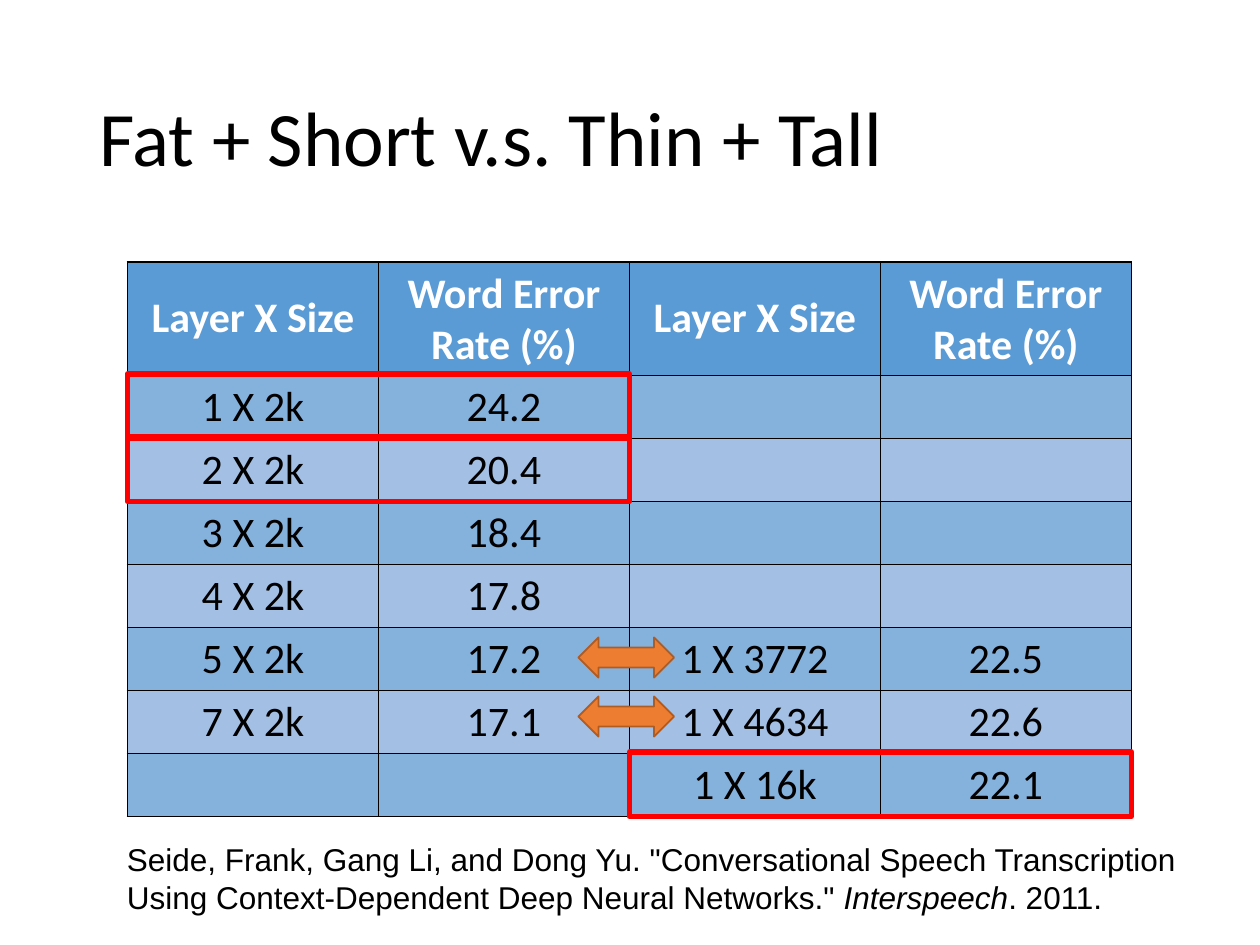
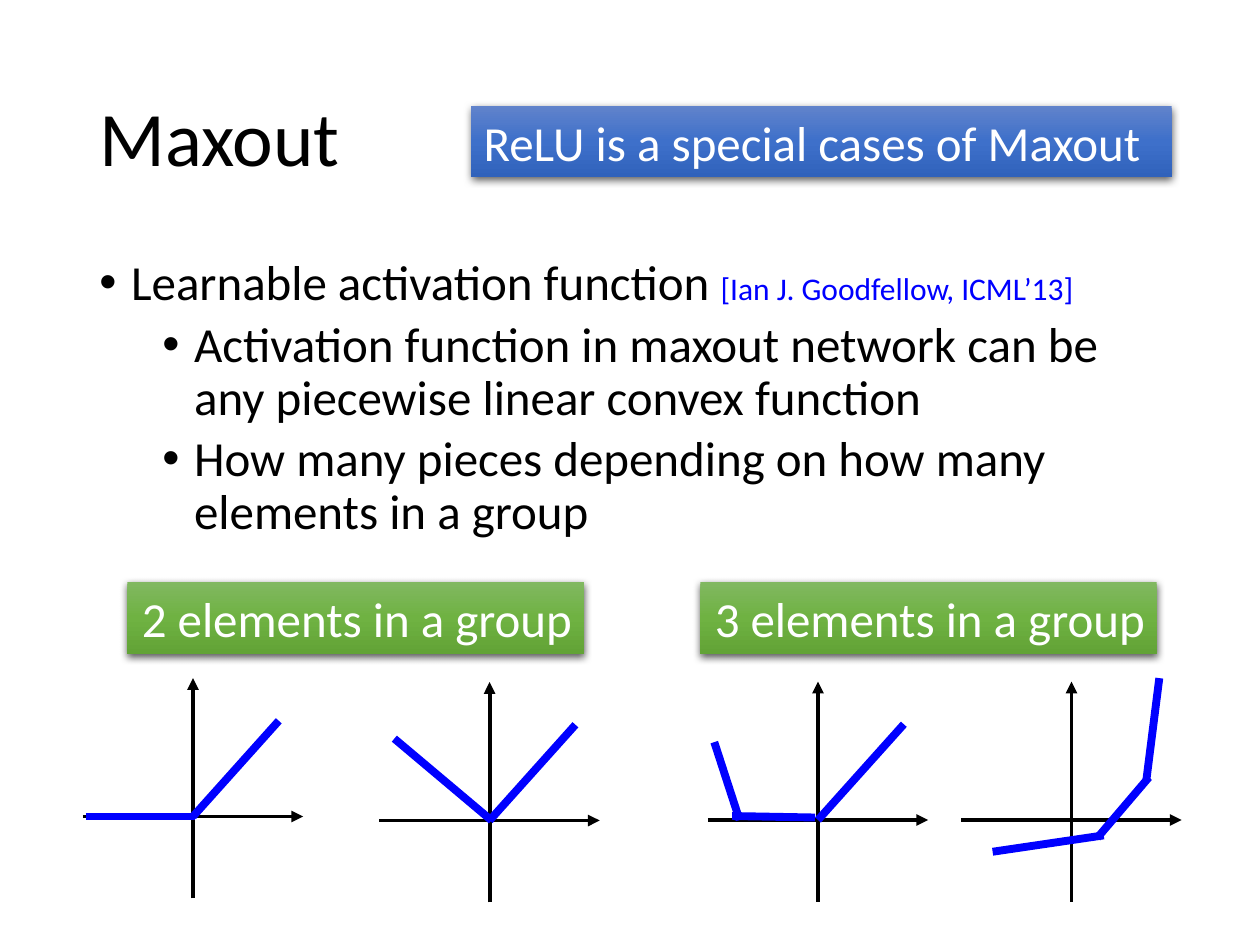
"""Build two slides on network depth and on maxout units."""
from copy import deepcopy

from lxml.etree import SubElement
from pptx import Presentation
from pptx.dml.color import RGBColor
from pptx.enum.shapes import MSO_CONNECTOR, MSO_SHAPE
from pptx.enum.text import MSO_ANCHOR, MSO_AUTO_SIZE, PP_ALIGN
from pptx.oxml.ns import qn
from pptx.util import Cm, Pt

HUES = {
    "black": "000000", "white": "FFFFFF", "blue": "0000FF", "red": "FF0000",
    "head": "5B9BD5", "odd": "85B1DD", "even": "A3BFE4",
    "arrow": "ED7D31", "edge": "AF5C24",
}
FADES = {
    "blue": ("6183CB", "3E70CA", "3062BB"),
    "green": ("81B861", "6FB242", "62A336"),
}

ROWS = [
    ("Layer X Size", "Word Error Rate (%)", "Layer X Size", "Word Error Rate (%)"),
    ("1 X 2k", "24.2", "", ""),
    ("2 X 2k", "20.4", "", ""),
    ("3 X 2k", "18.4", "", ""),
    ("4 X 2k", "17.8", "", ""),
    ("5 X 2k", "17.2", "1 X 3772", "22.5"),
    ("7 X 2k", "17.1", "1 X 4634", "22.6"),
    ("", "", "1 X 16k", "22.1"),
]
MARKS = [(7, 2), (1, 0), (2, 0)]
CITE = [
    ('Seide, Frank, Gang Li, and Dong Yu. "Conversational Speech Transcription '
     'Using Context-Dependent Deep Neural Networks." ', False),
    ("Interspeech", True),
    (". 2011.", False),
]

POINTS = [
    (0, [("Learnable activation function ", 28, "black"),
         ("[Ian J. Goodfellow, ICML’13]", 18, "blue")]),
    (1, [("Activation function in maxout network can be any piecewise "
          "linear convex function", 28, "black")]),
    (1, [("How many pieces depending on how many elements in a group", 28, "black")]),
]
LABELS = [
    ("ReLU is a special cases of Maxout", 9.5, 2.13, 14.12, "blue", PP_ALIGN.LEFT),
    ("2 elements in a group", 2.57, 11.73, 9.2, "green", PP_ALIGN.CENTER),
    ("3 elements in a group", 14.12, 11.73, 9.2, "green", PP_ALIGN.CENTER),
]
RISE = (0, 0, 1.73, -1.93)
PLOTS = [
    (3.89, 16.46, [(-2.16, 0, 0.04, 0), RISE]),
    (9.87, 16.54, [(-1.92, -1.65, 0.04, 0), RISE]),
    (16.49, 16.53, [(-2.09, -1.57, -1.58, 0), (-1.73, -0.08, -0.06, -0.05), RISE]),
    (21.6, 16.53, [(-1.59, 0.64, 0.65, 0.31), (0.52, 0.36, 1.56, -0.86),
                   (1.51, -0.81, 1.77, -2.86)]),
]
AXES = [(-2.22, 0, 2.22, 0), (0, 1.65, 0, -2.79)]

LEFT, TOP = 2.57, 5.28
COL, HEAD, ROW = 5.06, 2.26, 1.27


def hue(name):
    return RGBColor.from_string(HUES[name])


def write(para, text, size=24, color="black", font="Calibri",
          bold=False, italic=False, align=PP_ALIGN.LEFT):
    para.alignment = align
    if not text:
        return
    run = para.add_run()
    run.text = text
    face = run.font
    face.size, face.name = Pt(size), font
    face.bold, face.italic = bold, italic
    face.color.rgb = hue(color)


def place(shape, *box):
    shape.left, shape.top, shape.width, shape.height = map(Cm, box)


def start(deck, layout, title):
    slide = deck.slides.add_slide(deck.slide_layouts[layout])
    head = slide.shapes.title
    place(head, 1.75, 1.02, 21.9, 3.68)
    frame = head.text_frame
    frame.auto_size = MSO_AUTO_SIZE.NONE
    frame.vertical_anchor = MSO_ANCHOR.MIDDLE
    frame.paragraphs[0].line_spacing = 0.9
    write(frame.paragraphs[0], title, size=44)
    return slide


def block(slide, kind, box, fill=None, line=None, width=1):
    shape = slide.shapes.add_shape(kind, *map(Cm, box))
    shape.shadow.inherit = False
    if fill:
        shape.fill.solid()
        shape.fill.fore_color.rgb = hue(fill)
    else:
        shape.fill.background()
    if line:
        shape.line.color.rgb = hue(line)
        shape.line.width = Pt(width)
    else:
        shape.line.fill.background()
    return shape


def frame_cell(cell):
    props = cell._tc.get_or_add_tcPr()
    for side in ("lnL", "lnR", "lnT", "lnB"):
        edge = SubElement(props, qn("a:" + side), w=str(Pt(1)))
        fill = SubElement(edge, qn("a:solidFill"))
        SubElement(fill, qn("a:srgbClr"), val=HUES["black"])


def add_rates(slide):
    count, wide = len(ROWS), len(ROWS[0])
    box = (LEFT, TOP, wide * COL, HEAD + (count - 1) * ROW)
    grid = slide.shapes.add_table(count, wide, *map(Cm, box)).table
    for col in grid.columns:
        col.width = Cm(COL)
    for i, row in enumerate(ROWS):
        grid.rows[i].height = Cm(ROW if i else HEAD)
        fill = ("odd" if i % 2 else "even") if i else "head"
        for j, text in enumerate(row):
            cell = grid.cell(i, j)
            frame_cell(cell)
            cell.fill.solid()
            cell.fill.fore_color.rgb = hue(fill)
            cell.vertical_anchor = MSO_ANCHOR.MIDDLE
            write(cell.text_frame.paragraphs[0], text, bold=not i,
                  color="black" if i else "white", align=PP_ALIGN.CENTER)


def add_label(slide, text, left, top, width, fade, align):
    shape = block(slide, MSO_SHAPE.RECTANGLE, (left, top, width, 1.45))
    shape.fill.gradient()
    shape.fill.gradient_angle = 270
    props = shape._element.spPr
    stops = props.find(".//" + qn("a:gsLst"))
    stops.append(deepcopy(stops[-1]))
    for i, (stop, code) in enumerate(zip(shape.fill.gradient_stops, FADES[fade])):
        stop.position = i / 2
        stop.color.rgb = RGBColor.from_string(code)
    glow = SubElement(props.find(qn("a:effectLst")), qn("a:outerShdw"),
                      blurRad=str(Pt(4.5)), dist=str(Pt(1.5)), dir="5400000",
                      algn="ctr", rotWithShape="0")
    tint = SubElement(glow, qn("a:srgbClr"), val=HUES["black"])
    SubElement(tint, qn("a:alpha"), val="63000")
    frame = shape.text_frame
    frame.word_wrap = True
    frame.margin_right = Cm(0.2)
    frame.vertical_anchor = MSO_ANCHOR.MIDDLE
    write(frame.paragraphs[0], text, size=28, color="white", align=align)


def add_line(group, x, y, ends, color, width, tip=False):
    a, b, c, d = ends
    line = group.shapes.add_connector(
        MSO_CONNECTOR.STRAIGHT, Cm(x + a), Cm(y + b), Cm(x + c), Cm(y + d))
    line.line.color.rgb = hue(color)
    line.line.width = Pt(width)
    if tip:
        SubElement(line.line._get_or_add_ln(), qn("a:tailEnd"), type="triangle")
    SubElement(line._element.spPr, qn("a:effectLst"))


def add_points(slide):
    body = slide.placeholders[1]
    place(body, 1.75, 5.08, 21.9, 12.09)
    frame = body.text_frame
    frame.auto_size = MSO_AUTO_SIZE.NONE
    for i, (level, runs) in enumerate(POINTS):
        para = frame.add_paragraph() if i else frame.paragraphs[0]
        props = para._p.get_or_add_pPr()
        props.set("marL", str(Cm(0.64 + 1.27 * level)))
        props.set("indent", str(Cm(-0.64)))
        SubElement(props, qn("a:buFont"), typeface="Arial")
        SubElement(props, qn("a:buChar"), char="•")
        para.level = level
        para.line_spacing = 0.9
        para.space_before = Pt(5 if i else 0)
        for text, size, color in runs:
            write(para, text, size=size, color=color)


def show_rates(deck):
    slide = start(deck, 5, "Fat + Short v.s. Thin + Tall")
    note = slide.shapes.add_textbox(*map(Cm, (2.31, 16.81, 21.77, 1.8))).text_frame
    note.word_wrap = True
    for text, italic in CITE:
        write(note.paragraphs[0], text, size=18, font="Arial", italic=italic)
    add_rates(slide)
    for i in range(2):
        block(slide, MSO_SHAPE.LEFT_RIGHT_ARROW, (11.66, 12.85 + 1.19 * i, 1.93, 0.81),
              fill="arrow", line="edge")
    for row, col in MARKS:
        box = (LEFT + col * COL, TOP + HEAD + (row - 1) * ROW, 2 * COL, 1.3)
        block(slide, MSO_SHAPE.RECTANGLE, box, line="red", width=3)


def show_maxout(deck):
    slide = start(deck, 1, "Maxout")
    add_points(slide)
    for label in LABELS:
        add_label(slide, *label)
    for x, y, parts in PLOTS:
        group = slide.shapes.add_group_shape()
        for ends in AXES:
            add_line(group, x, y, ends, "black", 2.25, tip=True)
        for ends in parts:
            add_line(group, x, y, ends, "blue", 4.5)


def main():
    deck = Presentation()
    deck.slide_width, deck.slide_height = Cm(25.4), Cm(19.05)
    show_rates(deck)
    show_maxout(deck)
    deck.save("out.pptx")


if __name__ == "__main__":
    main()
